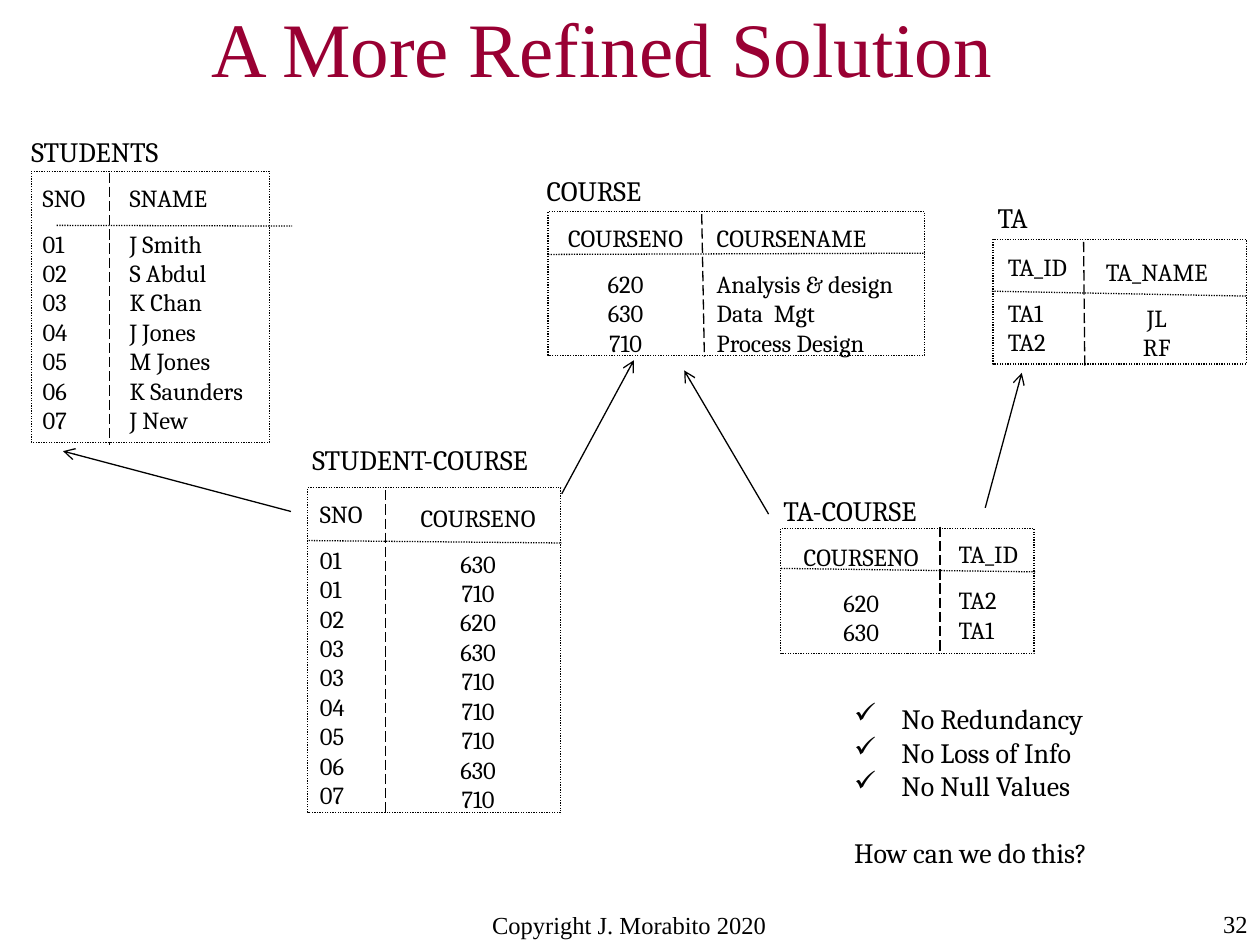
"""Build the slide that shows a refined relational design for students, courses and TAs."""
from lxml import etree
from pptx import Presentation
from pptx.dml import color as dml_color
from pptx.enum import dml, shapes, text
from pptx.oxml import ns
from pptx.util import Pt

BLACK = "000000"
LEFT, CENTER, RIGHT = text.PP_ALIGN.LEFT, text.PP_ALIGN.CENTER, text.PP_ALIGN.RIGHT
SOLID, DOTTED, DASHED = (
    dml.MSO_LINE.SOLID, dml.MSO_LINE.ROUND_DOT, dml.MSO_LINE.LONG_DASH)

# name, frame, label box, header rule, column rule, columns (x, y, width, align, entries)
RELATIONS = [
    ("COURSE", (313.2, 121, 215.3, 82), (305.3, 95.8, 76.3),
     (313.2, 145.4, 528.5, 144.7), (401, 122.4, 402.5, 203.8),
     [(312.5, 123.8, 90, CENTER, ["COURSENO", "620", "630", "710"]),
      (402.5, 123.8, 129.6, LEFT,
       ["COURSENAME", "Analysis & design", "Data  Mgt", "Process Design"])]),
    ("STUDENTS", (18, 98, 136, 154.8), (10.8, 73.4, 93.6),
     (32.4, 128.8, 167, 129.2), (62.6, 98.6, 62.6, 254.2),
     [(17.3, 100.8, 43.9, LEFT,
       ["SNO", "01", "02", "03", "04", "05", "06", "07"]),
      (67, 100.8, 88.6, LEFT,
       ["SNAME", "J Smith", "S Abdul", "K Chan", "J Jones", "M Jones",
        "K Saunders", "J New"])]),
    ("STUDENT-COURSE", (175.8, 278.8, 144.7, 185.5), (171.4, 249.1, 151.9),
     (176.4, 308.9, 321, 310.3), (220.3, 280.1, 220.3, 465),
     [(175.7, 281.5, 43.9, LEFT,
       ["SNO", "01", "01", "02", "03", "03", "04", "05", "06", "07"]),
      (228.2, 283.7, 90, CENTER,
       ["COURSENO", "630", "710", "620", "630", "710", "710", "710", "630",
        "710"])]),
    ("TA", (567.4, 136.8, 144.7, 71.3), (563, 110.9, 33.1),
     (566.8, 166.4, 712.1, 169.2), (619.2, 138.2, 619.9, 209.5),
     [(568.8, 140.4, 52.6, LEFT, ["TA_ID", "TA1", "TA2"]),
      (622.1, 143.3, 77.8, CENTER, ["TA_NAME", "JL", "RF"])]),
    ("TA-COURSE", (446.2, 302, 144.7, 71.6), (440.6, 278.6, 100.1),
     (446.4, 324.8, 591.5, 326.8), (537.1, 301, 537.1, 373.7),
     [(540.7, 304.6, 52.6, LEFT, ["TA_ID", "TA2", "TA1"]),
      (447.1, 306, 90, CENTER, ["COURSENO", "620", "630"])]),
]

REFERENCES = [
    (321, 282.2, 362.2, 205.9),
    (166.3, 292.3, 36, 257.8),
    (439.2, 293.8, 391, 211.7),
    (563, 290.2, 583.9, 213.1),
]


def rgb(value):
    """Turn a hex string into a colour."""
    return dml_color.RGBColor.from_string(value)


def set_bullet(paragraph, character, indent):
    """Give a paragraph a hanging indent and, if there is one, a bullet."""
    properties = paragraph._p.get_or_add_pPr()
    properties.set("marL", str(Pt(indent)))
    properties.set("indent", str(-Pt(indent)))
    if character:
        bullet_color = etree.SubElement(properties, ns.qn("a:buClr"))
        etree.SubElement(bullet_color, ns.qn("a:srgbClr"), val=BLACK)
        etree.SubElement(properties, ns.qn("a:buChar"), char=character)


def write(frame, lines, font="Cambria", size=14, color=BLACK, align=LEFT,
          gap_before=None, gap=0, bullets=(), indent=0):
    """Fill a text frame with one paragraph a line, with a gap before one of them."""
    for index, line in enumerate(lines):
        paragraph = frame.paragraphs[0] if index == 0 else frame.add_paragraph()
        if bullets:
            set_bullet(paragraph, bullets[index], indent)
        paragraph.alignment = align
        if index == gap_before:
            paragraph.space_before = Pt(gap)
        run = paragraph.add_run()
        run.text = line
        run.font.name = font
        run.font.size = Pt(size)
        run.font.color.rgb = rgb(color)


class Diagram:
    """Hold the style, the slide and the shapes that are being added to."""

    serif = "Times New Roman"
    title_color = "990033"
    line_width = 0.75
    row_height = 16.8
    header_gap = 9.5

    def __init__(self, slide):
        """Start with the slide itself as the place for new shapes."""
        self.slide = slide
        self.canvas = slide.shapes

    def title(self, line, x, y, width, height):
        """Place and format the title placeholder."""
        shape = self.slide.shapes.title
        shape.left, shape.top = Pt(x), Pt(y)
        shape.width, shape.height = Pt(width), Pt(height)
        shape.text_frame.auto_size = text.MSO_AUTO_SIZE.NONE
        shape.text_frame.vertical_anchor = text.MSO_ANCHOR.MIDDLE
        write(shape.text_frame, [line], font=self.serif, size=44,
              color=self.title_color)

    def text_box(self, lines, x, y, width, height, wrap=False, **style):
        """Add a text box."""
        shape = self.canvas.add_textbox(Pt(x), Pt(y), Pt(width), Pt(height))
        shape.text_frame.word_wrap = wrap
        write(shape.text_frame, lines, **style)

    def frame(self, x, y, width, height):
        """Add an unfilled dotted rectangle."""
        shape = self.canvas.add_shape(
            shapes.MSO_SHAPE.RECTANGLE, Pt(x), Pt(y), Pt(width), Pt(height))
        shape.shadow.inherit = False
        shape.fill.background()
        self.stroke(shape.line, DOTTED)

    def stroke(self, line, dash):
        """Format a line."""
        line.color.rgb = rgb(BLACK)
        line.width = Pt(self.line_width)
        line.dash_style = dash

    def line(self, x1, y1, x2, y2, dash=SOLID, arrow=False):
        """Add a straight line, with an arrowhead at its end if asked."""
        connector = self.canvas.add_connector(
            shapes.MSO_CONNECTOR.STRAIGHT, Pt(x1), Pt(y1), Pt(x2), Pt(y2))
        self.stroke(connector.line, dash)
        if arrow:
            etree.SubElement(connector.line._get_or_add_ln(),
                             ns.qn("a:tailEnd"), type="arrow")
        etree.SubElement(connector._element.spPr, ns.qn("a:effectLst"))

    def relation(self, name, frame, label, header_rule, column_rule, columns):
        """Add a group with a relation's name, frame, columns and rules."""
        self.canvas = self.slide.shapes.add_group_shape().shapes
        self.frame(*frame)
        self.text_box([name], *label, 26.6, size=16)
        for x, y, width, align, entries in columns:
            height = 7.2 + self.row_height * len(entries) + self.header_gap
            self.text_box(entries, x, y, width, height, align=align,
                          gap_before=1, gap=self.header_gap)
        self.line(*column_rule, dash=DASHED)
        self.line(*header_rule, dash=DOTTED)
        self.canvas = self.slide.shapes


def main():
    """Build and save the presentation."""
    presentation = Presentation()
    presentation.slide_width, presentation.slide_height = Pt(720), Pt(540)
    slide = presentation.slides.add_slide(presentation.slide_layouts[5])
    diagram = Diagram(slide)
    diagram.title("A More Refined Solution", 113.8, 5.8, 606.2, 41.8)
    diagram.text_box(["Copyright J. Morabito 2020"], 245.5, 516.2, 228.2, 18,
                     wrap=True, font=diagram.serif, align=CENTER)
    diagram.text_box(["32"], 617.8, 516.2, 102.2, 23.8,
                     wrap=True, font=diagram.serif, align=RIGHT)
    for relation in RELATIONS:
        diagram.relation(*relation)
    for reference in REFERENCES:
        diagram.line(*reference, arrow=True)
    diagram.text_box(
        ["No Redundancy", "No Loss of Info", "No Null Values",
         "How can we do this?"],
        481, 397.4, 193.7, 103.7, wrap=True, size=16,
        gap_before=3, gap=19, bullets=["✓", "✓", "✓", None], indent=27)
    presentation.save("out.pptx")


if __name__ == "__main__":
    main()
